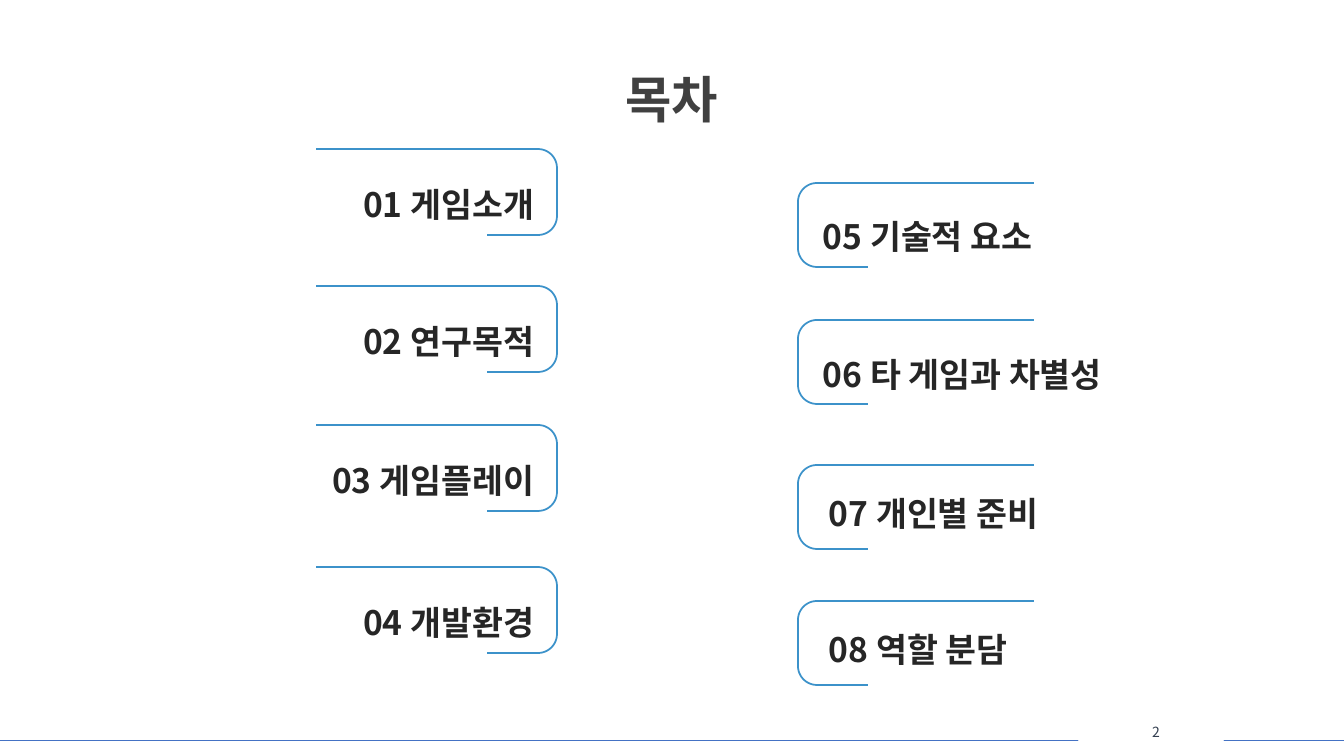
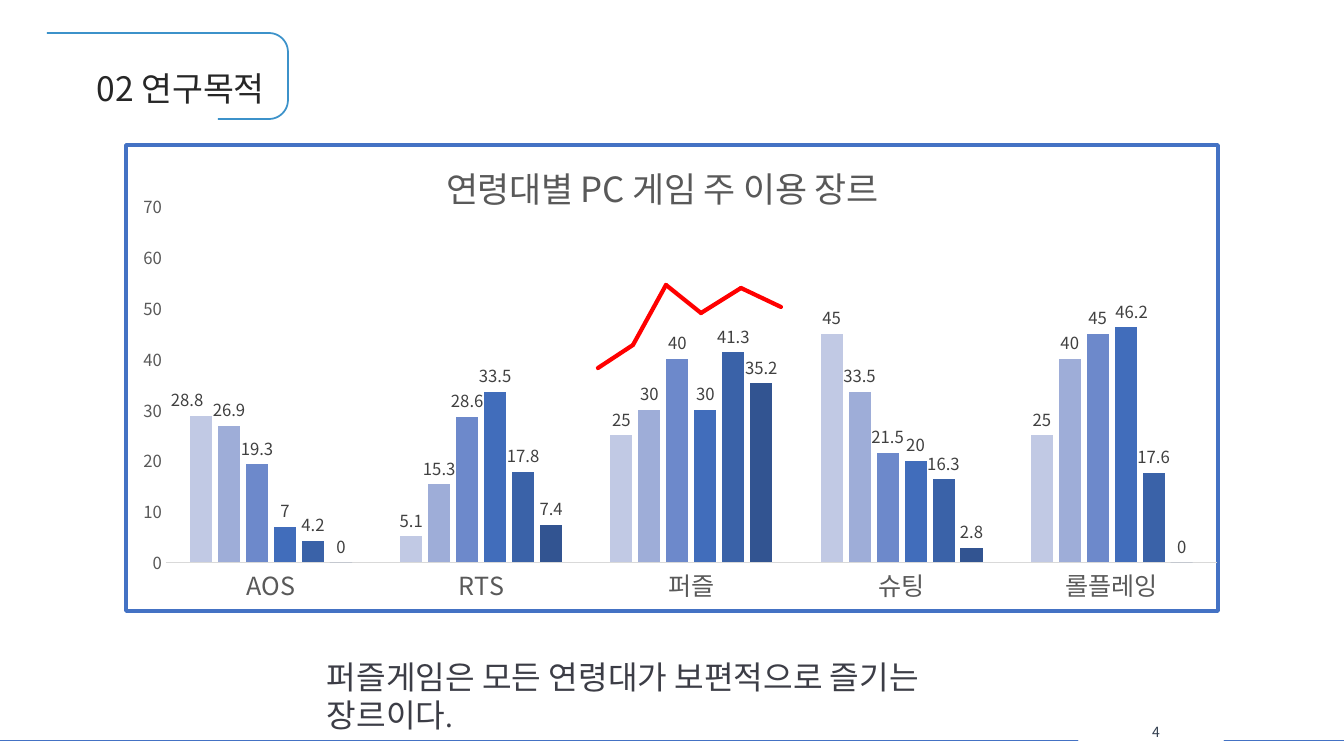
from itertools import pairwise
from math import cos, pi, sin

from lxml import etree
from pptx import Presentation
from pptx.chart.data import CategoryChartData
from pptx.dml.color import RGBColor
from pptx.enum.chart import XL_CHART_TYPE, XL_LABEL_POSITION, XL_TICK_MARK
from pptx.enum.shapes import MSO_CONNECTOR
from pptx.enum.text import MSO_ANCHOR, MSO_AUTO_SIZE, PP_ALIGN
from pptx.oxml import parse_xml
from pptx.oxml.ns import nsdecls, qn
from pptx.util import Pt

WIDE, HIGH = 1344, 756
SCALE = 12192000 / WIDE
FONT = "Noto Sans CJK KR"
COLORS = {
    "frame": "3C92CA", "rule": "4472C4", "trend": "FF0000", "grid": "D9D9D9",
    "title": "404040", "label": "262626", "page": "333F50", "note": "3C3D46",
    "axis": "595959", "chart": "000000",
    "bar1": "C1C9E4", "bar2": "9EADD8", "bar3": "6D89CB",
    "bar4": "416DBB", "bar5": "3A62A8", "bar6": "325491",
}
LEFT, CENTER, RIGHT = PP_ALIGN.LEFT, PP_ALIGN.CENTER, PP_ALIGN.RIGHT
STRAIGHT = MSO_CONNECTOR.STRAIGHT
OUTSIDE = XL_LABEL_POSITION.OUTSIDE_END
NO_TICK = XL_TICK_MARK.NONE
COLUMN = XL_CHART_TYPE.COLUMN_CLUSTERED

RADIUS = 19
LABEL_WIDE, LABEL_HIGH = 367, 72
CHART_WIDE, CHART_HIGH = 1096, 470

# frame top, label
LEFT_ITEMS = [
    (149, "01 게임소개"), (286, "02 연구목적"),
    (425, "03 게임플레이"), (567, "04 개발환경"),
]
# frame top, label left, label top, label
RIGHT_ITEMS = [
    (183, 813, 191, "05 기술적 요소"), (320, 813, 329, "06 타 게임과 차별성"),
    (465, 819, 468, "07 개인별 준비"), (601, 819, 604, "08 역할 분담"),
]
GENRES = ["AOS", "RTS", "퍼즐", "슈팅", "롤플레잉"]
BARS = [
    ("bar1", [28.8, 5.1, 25, 45, 25]),
    ("bar2", [26.9, 15.3, 30, 33.5, 40]),
    ("bar3", [19.3, 28.6, 40, 21.5, 45]),
    ("bar4", [7, 33.5, 30, 20, 46.2]),
    ("bar5", [4.2, 17.8, 41.3, 16.3, 17.6]),
    ("bar6", [0, 7.4, 35.2, 2.8, 0]),
]
# series, point, label shift to the right
SHIFTS = [(0, 0, -14), (3, 4, 6)]
TREND = [(598, 368), (633, 345), (666, 285), (701, 313), (741, 288), (781, 307)]


def px(*values):
    return [round(value * SCALE) for value in values]


def rgb(name):
    return RGBColor.from_string(COLORS[name])


def style(font, size, color, bold=False):
    font.size, font.bold, font.name = Pt(size), bold, FONT
    font.color.rgb = rgb(color)


def set_east(root):
    """Give East Asian text the same font as Latin text."""
    for latin in list(root.iter(qn("a:latin"))):
        east = etree.Element(qn("a:ea"), typeface=FONT)
        latin.addnext(east)


def write(shape, runs, color, bold=False, align=LEFT, spacing=None):
    """Fill a shape with runs of (text, size)."""
    frame = shape.text_frame
    frame.word_wrap = True
    frame.auto_size = MSO_AUTO_SIZE.NONE
    frame.vertical_anchor = MSO_ANCHOR.TOP
    para = frame.paragraphs[0]
    para.alignment = align
    if spacing:
        para.line_spacing = spacing
    for text, size in runs:
        run = para.add_run()
        run.text = text
        style(run.font, size, color, bold)


def add_text(slide, box, *args, **kinds):
    write(slide.shapes.add_textbox(*px(*box)), *args, **kinds)


def set_title(slide, box, *args, **kinds):
    title = slide.shapes.title
    title.left, title.top, title.width, title.height = px(*box)
    write(title, *args, **kinds)


def add_line(slide, start, end, color, width):
    line = slide.shapes.add_connector(STRAIGHT, *px(*start, *end))
    line.line.color.rgb = rgb(color)
    line.line.width = Pt(width)
    line.get_or_add_ln().set("cap", "rnd")
    etree.SubElement(line.element.spPr, qn("a:effectLst"))


def add_frame(slide, tip, top, wide=241, high=86, way=1):
    """Draw an open frame from its tip; way is 1 to the right, -1 to the left."""
    side = tip + way * wide
    foot = side - way * 70
    points = [(tip, top)]
    for mid, first in ((top + RADIUS, -pi / 2), (top + high - RADIUS, 0)):
        for step in range(13):
            angle = first + step * pi / 24
            points.append((side - way * RADIUS * (1 - cos(angle)),
                           mid + RADIUS * sin(angle)))
    points.append((foot, top + high))
    points = [px(*point) for point in points]
    maker = slide.shapes.build_freeform(*points[0])
    maker.add_line_segments(points[1:], close=False)
    shape = maker.convert_to_shape()
    shape.shadow.inherit = False
    shape.fill.background()
    shape.line.color.rgb = rgb("frame")
    shape.line.width = Pt(1.25)


def add_footer(slide, page):
    for start, end in ((0, 1078), (1224, WIDE)):
        add_line(slide, (start, 740), (end, 740), "rule", 0.5)
    add_text(slide, (1126, 719, 60, 28), [(page, 10)], "page", align=CENTER)


def set_layout(parent, place, x, y, size=None, **modes):
    """Lay out a chart part by px, at the given place among its parent's children."""
    for old in parent.findall(qn("c:layout")):
        parent.remove(old)
    parts = {**modes, "x": x / CHART_WIDE, "y": y / CHART_HIGH}
    if size:
        parts.update(w=size[0] / CHART_WIDE, h=size[1] / CHART_HIGH)
    layout = etree.Element(qn("c:layout"))
    manual = etree.SubElement(layout, qn("c:manualLayout"))
    for name, value in parts.items():
        etree.SubElement(manual, qn("c:" + name), val=str(value))
    parent.insert(place, layout)


def set_border(chart):
    border = parse_xml(
        f'<c:spPr {nsdecls("c", "a")}><a:noFill/><a:ln w="{Pt(3)}"><a:solidFill>'
        f'<a:srgbClr val="{COLORS["rule"]}"/></a:solidFill><a:round/></a:ln></c:spPr>')
    chart.element.find(qn("c:chart")).addnext(border)


def set_axes(chart):
    for axis, size in ((chart.category_axis, 18), (chart.value_axis, 12)):
        axis.major_tick_mark = axis.minor_tick_mark = NO_TICK
        axis.has_major_gridlines = False
        style(axis.tick_labels.font, size, "axis")
    line = chart.category_axis.format.line
    line.color.rgb = rgb("grid")
    line.width = Pt(0.75)
    value = chart.value_axis
    value.format.line.fill.background()
    value.minimum_scale, value.maximum_scale, value.major_unit = 0, 70, 10


def set_bars(plot):
    plot.gap_width, plot.overlap, plot.vary_by_categories = 219, -27, False
    for series, (color, _) in zip(plot.series, BARS):
        series.format.fill.solid()
        series.format.fill.fore_color.rgb = rgb(color)
        labels = series.data_labels
        labels.show_value, labels.position = True, OUTSIDE
        style(labels.font, 12, "title")
    for row, spot, shift in SHIFTS:
        series = plot.series[row]
        tag = series.points[spot].data_label
        style(tag.font, 12, "title")
        tag.position = OUTSIDE
        set_layout(next(series._element.iter(qn("c:dLbl"))), 1, shift, 0)


def add_chart(slide, left, top):
    data = CategoryChartData()
    data.categories = GENRES
    for _, values in BARS:
        data.add_series("", values)
    box = px(left, top, CHART_WIDE, CHART_HIGH)
    chart = slide.shapes.add_chart(COLUMN, *box, data).chart
    style(chart.font, 10, "chart")
    chart.has_legend = False
    chart.has_title = True
    run = chart.chart_title.text_frame.paragraphs[0].add_run()
    run.text = "연령대별 PC 게임 주 이용 장르"
    style(run.font, 25, "axis")
    set_axes(chart)
    set_bars(chart.plots[0])
    set_border(chart)
    root = chart.element
    set_layout(next(root.iter(qn("c:title"))), 1, 315, 8, xMode="edge", yMode="edge")
    set_layout(next(root.iter(qn("c:plotArea"))), 0, 40, 62, size=(1055, 359),
               layoutTarget="inner", xMode="edge", yMode="edge")
    set_east(root)


def fill_contents(slide):
    set_title(slide, (368, 33, 608, 94), [("목차", 36)], "title",
              bold=True, align=CENTER, spacing=1.5)
    for top, label in LEFT_ITEMS:
        add_frame(slide, 316, top)
        add_text(slide, (177, top + 10, LABEL_WIDE, LABEL_HIGH), [(label, 24)],
                 "label", bold=True, align=RIGHT, spacing=1.5)
    for top, left, high, label in RIGHT_ITEMS:
        add_frame(slide, 1034, top, wide=236, high=84, way=-1)
        add_text(slide, (left, high, LABEL_WIDE, LABEL_HIGH), [(label, 24)],
                 "label", bold=True, spacing=1.5)


def fill_purpose(slide):
    add_frame(slide, 47, 33)
    set_title(slide, (47, 43, 228, LABEL_HIGH), [("02 연구목적", 24)],
              "label", align=RIGHT, spacing=1.5)
    add_chart(slide, 124, 143)
    for start, end in pairwise(TREND):
        add_line(slide, start, end, "trend", 3)
    note = "퍼즐게임은 모든 연령대가 보편적으로 즐기는 장르이다"
    add_text(slide, (317, 652, 735, 88), [(note, 23), (".", 20)], "note")


def main():
    deck = Presentation()
    deck.slide_width, deck.slide_height = px(WIDE, HIGH)
    for page, fill in (("2", fill_contents), ("4", fill_purpose)):
        slide = deck.slides.add_slide(deck.slide_layouts[5])
        fill(slide)
        add_footer(slide, page)
        set_east(slide.element)
    deck.save("out.pptx")


if __name__ == "__main__":
    main()
